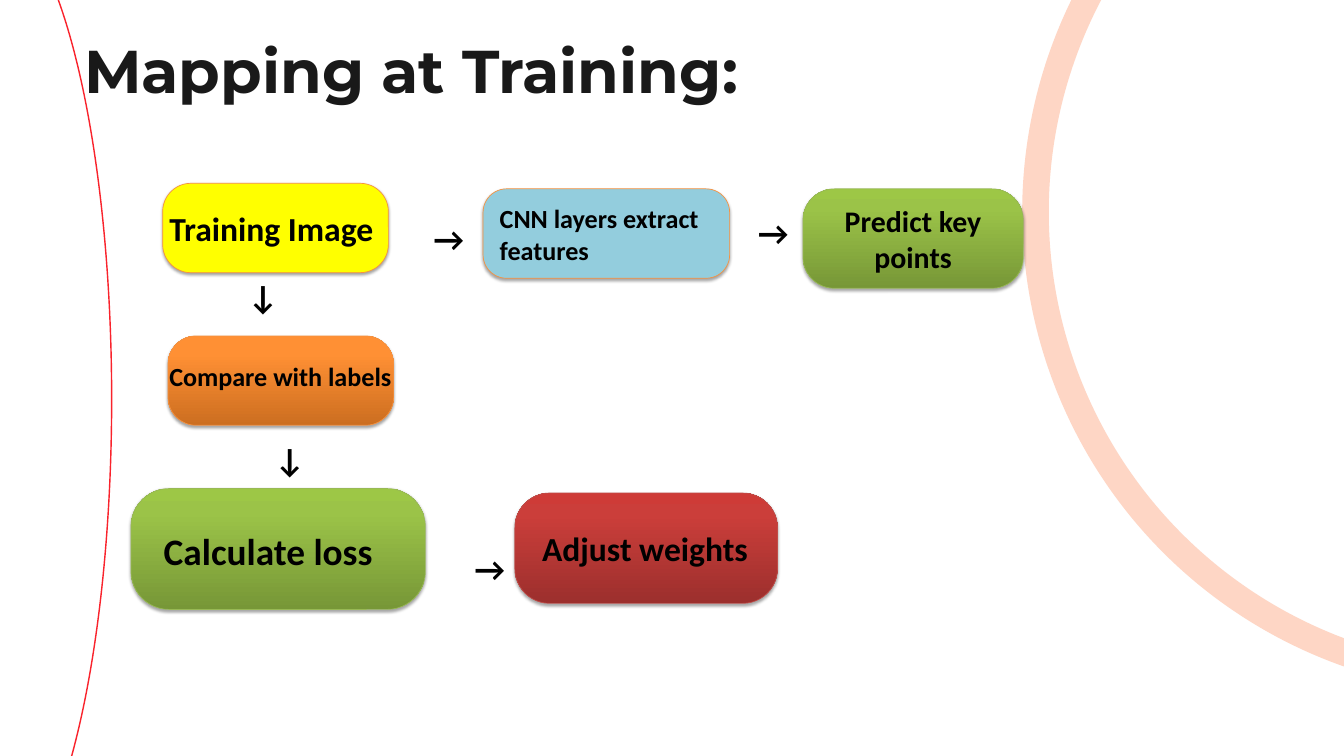
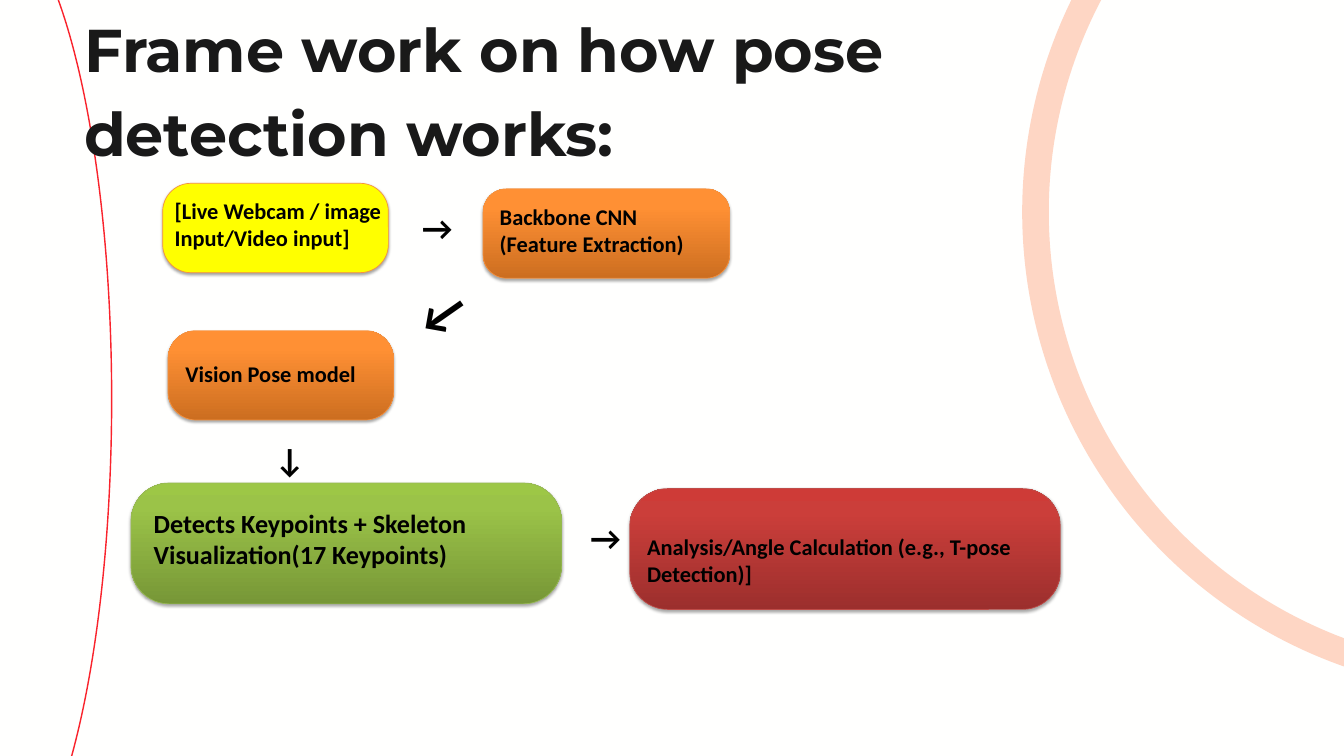
from lxml import etree
from pptx import Presentation
from pptx import util as u
from pptx.dml.color import RGBColor
from pptx.enum import shapes, text
from pptx.oxml import ns

COLORS = {
    "title": "191919", "label": "000000", "ring": "FD6220", "arc": "F9232C",
}
# Card style: fill (one colour, or gradient stops from bottom to top) and outline
STYLES = {
    "yellow": (["FFFF00"], "F69240"),
    "blue": (["93CDDD"], "F69240"),
    "orange": (["CC6E20", "FF9034", "FF9136"], "F69240"),
    "green": (["779737", "9BC348", "9DC746"], "98B955"),
    "red": (["9C2F2D", "CB3E3A", "CE3B37"], "BF4C48"),
}
STOPS = [0, 80000, 100000]
RIGHT, DOWN, DOWN_LEFT = 270, 0, 55

# cards: style, place, corner; labels: text, size, place; arrows: turn, size, place.
# Every place is left, top, width, height in cm.
SLIDES = [
    {
        "background": "FFFFFF",
        "title": ("Mapping at Training:", (3.18, 0.79, 39.5, 6.48)),
        "cards": [
            ("yellow", (6.15, 6.93, 8.53, 3.38), 0.316),
            ("orange", (6.35, 12.7, 8.53, 3.38), 0.316),
            ("green", (4.95, 18.47, 11.13, 4.57), 0.316),
            ("red", (19.46, 18.64, 9.93, 4.17), 0.316),
            ("blue", (18.26, 7.14, 9.32, 3.38), 0.263),
            ("green", (30.35, 7.14, 8.33, 3.76), 0.316, "Predict key points"),
        ],
        "labels": [
            ("Training Image", 36, (6.15, 7.75, 8.94, 1.8)),
            ("Compare with labels", 28, (6.15, 13.49, 9.73, 1.45)),
            ("Calculate loss", 40, (5.94, 19.84, 14.88, 1.96)),
            ("Adjust weights", 36, (20.24, 19.84, 16.08, 1.8)),
            ("CNN layers extract features", 28, (18.64, 7.54, 9.12, 2.64)),
        ],
        "arrows": [
            (RIGHT, 36, (16, 8.26, 1.6, 1.8)),
            (RIGHT, 36, (28.27, 8.03, 1.6, 1.8)),
            (DOWN, 36, (9.12, 10.31, 3.12, 1.8)),
            (DOWN, 36, (10.13, 16.48, 2.92, 1.8)),
            (RIGHT, 36, (16.97, 20.14, 2.77, 1.8)),
        ],
    },
    {
        "background": "FFFFFE",
        "title": ("Frame work on how pose detection works:", (3.18, 0, 39.5, 9.73)),
        "cards": [
            ("yellow", (6.15, 6.93, 8.53, 3.38), 0.316),
            ("orange", (6.35, 12.5, 8.53, 3.38), 0.316),
            ("green", (4.95, 18.26, 16.28, 4.57), 0.316),
            ("red", (23.8, 18.47, 16.28, 4.57), 0.316),
            ("orange", (18.26, 7.14, 9.32, 3.38), 0.263),
        ],
        "labels": [
            ("[Live Webcam / image Input/Video input]", 24, (6.35, 7.34, 8.94, 2.31)),
            ("Vision Pose model", 24, (6.76, 13.49, 9.73, 1.27)),
            ("Detects Keypoints + Skeleton Visualization(17 Keypoints)", 28,
             (5.56, 19.05, 14.88, 2.64)),
            ("Analysis/Angle Calculation (e.g., T-pose Detection)]", 24,
             (24.21, 20.04, 16.08, 2.31)),
            ("Backbone CNN\n(Feature Extraction)", 24, (18.64, 7.54, 9.12, 2.31)),
        ],
        "arrows": [
            (RIGHT, 36, (15.57, 7.82, 1.6, 1.8)),
            (DOWN_LEFT, 56, (15.42, 11.38, 4.45, 2.64)),
            (DOWN, 36, (10.13, 16.48, 2.92, 1.8)),
            (RIGHT, 36, (21.34, 18.95, 2.77, 1.8)),
        ],
    },
]


def write(box, words, size, font="Calibri", color="label"):
    """Fill a box with bold text, one paragraph per line of words."""
    frame = box.text_frame
    frame.word_wrap = True
    frame.text = words
    for para in frame.paragraphs:
        para.font.name = font
        para.font.size = u.Pt(size)
        para.font.bold = True
        para.font.color.rgb = RGBColor.from_string(COLORS[color])
    return frame


def add_xml(parent, tag, **attributes):
    return etree.SubElement(parent, ns.qn(tag), attributes)


deck = Presentation()
deck.slide_width, deck.slide_height = u.Cm(50.8), u.Cm(28.58)

for content in SLIDES:
    page = deck.slides.add_slide(deck.slide_layouts[6])
    page.background.fill.solid()
    page.background.fill.fore_color.rgb = RGBColor.from_string(content["background"])

    # Circles that run off the right and left edges
    for name, width, alpha, place in [
        ("ring", 28.5, 26000, (39.14, -9.7, 35.43, 35.43)),
        ("arc", 1.5, 100000, (-5.51, -3.53, 9.73, 37.24)),
    ]:
        circle = page.shapes.add_shape(shapes.MSO_SHAPE.OVAL, *map(u.Cm, place))
        circle.fill.background()
        circle.line.color.rgb = RGBColor.from_string(COLORS[name])
        circle.line.width = u.Pt(width)
        circle.shadow.inherit = False
        add_xml(circle.element.spPr.find(".//" + ns.qn("a:srgbClr")), "a:alpha", val=str(alpha))

    words, place = content["title"]
    title = page.shapes.add_textbox(*map(u.Cm, place))
    frame = write(title, words, 64.7, "Montserrat", "title")
    frame.margin_left = frame.margin_top = frame.margin_right = frame.margin_bottom = 0
    frame.paragraphs[0].line_spacing = u.Pt(90.6)

    for style, place, corner, *caption in content["cards"]:
        fills, outline = STYLES[style]
        card = page.shapes.add_shape(shapes.MSO_SHAPE.ROUNDED_RECTANGLE, *map(u.Cm, place))
        card.adjustments[0] = corner
        if len(fills) == 1:
            card.fill.solid()
            card.fill.fore_color.rgb = RGBColor.from_string(fills[0])
        else:
            card.fill.gradient()
            card.fill.gradient_angle = 90
            stops = card.element.spPr.find(".//" + ns.qn("a:gsLst"))
            for stop in list(stops):
                stops.remove(stop)
            for position, color in zip(STOPS, fills):
                add_xml(add_xml(stops, "a:gs", pos=str(position)), "a:srgbClr", val=color)
        card.line.color.rgb = RGBColor.from_string(outline)
        card.line.width = u.Pt(0.75)
        card.shadow.inherit = False
        effects = card.element.spPr.find(ns.qn("a:effectLst"))
        shadow = add_xml(effects, "a:outerShdw", blurRad=str(u.Pt(3.1)), dist=str(u.Pt(1.8)),
                         dir="5400000", rotWithShape="0")
        add_xml(add_xml(shadow, "a:srgbClr", val="000000"), "a:alpha", val="35000")
        for words in caption:
            frame = write(card, words, 32)
            frame.vertical_anchor = text.MSO_ANCHOR.MIDDLE
            frame.paragraphs[0].alignment = text.PP_ALIGN.CENTER

    for words, size, place in content["labels"]:
        write(page.shapes.add_textbox(*map(u.Cm, place)), words, size)

    for turn, size, place in content["arrows"]:
        arrow = page.shapes.add_textbox(*map(u.Cm, place))
        arrow.rotation = turn
        write(arrow, "↓", size)

deck.save("out.pptx")
